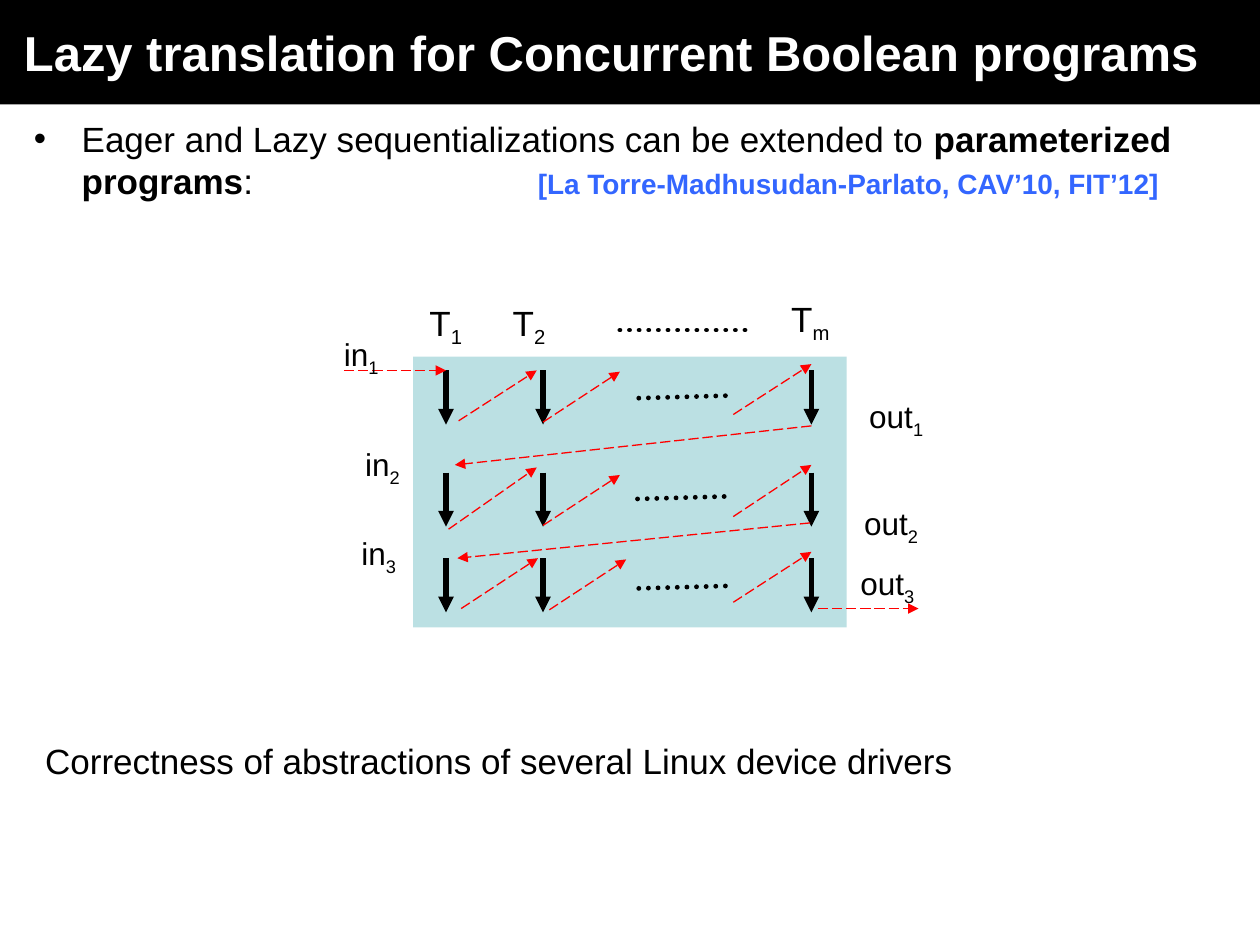
from dataclasses import dataclass

from lxml.etree import SubElement
from pptx import Presentation
from pptx.dml.color import RGBColor
from pptx.enum.dml import MSO_LINE
from pptx.enum.shapes import MSO_CONNECTOR, MSO_SHAPE
from pptx.enum.text import MSO_ANCHOR
from pptx.oxml.ns import qn
from pptx.util import Inches, Pt

BLACK, WHITE, RED, BLUE, TEAL = "000000", "FFFFFF", "FF0000", "3366FF", "BBE0E3"
Point = tuple[float, float]


@dataclass
class Label:
    text: str
    sub: str
    left: float
    top: float
    width: float
    size: int = 18


@dataclass
class Round:
    """One pass over the threads: their top edge, the dots, and the context switches."""
    top: float
    dots: Point
    switches: list[tuple[Point, Point]]


LABELS = [
    Label("T", "1", 3.31, 2.34, 0.6, 20),
    Label("T", "2", 3.97, 2.34, 0.77, 20),
    Label("T", "m", 6.18, 2.31, 0.59, 20),
    Label("in", "1", 2.63, 2.61, 0.65),
    Label("in", "2", 2.8, 3.48, 0.65),
    Label("in", "3", 2.77, 4.19, 0.65),
    Label("out", "1", 6.8, 3.1, 0.82),
    Label("out", "2", 6.76, 3.95, 0.82),
    Label("out", "3", 6.73, 4.43, 0.82),
]
THREADS = [3.54, 4.31, 6.44]
THREAD_LENGTH = 0.43
ROUNDS = [
    Round(2.94, (5.07, 3.16), [((3.64, 3.34), (4.26, 2.94)), ((4.31, 3.35), (4.92, 2.95)),
                               ((5.82, 3.29), (6.44, 2.89))]),
    Round(3.75, (5.06, 3.96), [((3.56, 4.2), (4.26, 3.71)), ((4.31, 4.17), (4.92, 3.77)),
                               ((5.82, 4.1), (6.44, 3.69))]),
    Round(4.43, (5.07, 4.67), [((3.66, 4.83), (4.27, 4.43)), ((4.36, 4.84), (4.97, 4.44)),
                               ((5.82, 4.78), (6.44, 4.38))]),
]
# Input, the returns to the next round, and output.
TRANSFERS = [
    ((2.73, 2.94), (3.54, 2.94)),
    ((6.44, 3.38), (3.61, 3.69)),
    ((6.43, 4.15), (3.63, 4.43)),
    ((6.49, 4.83), (7.29, 4.83)),
]


def rgb(value: str) -> RGBColor:
    return RGBColor.from_string(value)


def add_box(s, left: float, top: float, width: float, height: float, fill: str):
    sp = s.shapes.add_shape(MSO_SHAPE.RECTANGLE, Inches(left), Inches(top),
                            Inches(width), Inches(height))
    sp.shadow.inherit = False
    sp.fill.solid()
    sp.fill.fore_color.rgb = rgb(fill)
    sp.line.fill.background()
    return sp


def add_text_box(s, left: float, top: float, width: float, height: float):
    """Add a wrapping text box and return its first paragraph."""
    tf = s.shapes.add_textbox(Inches(left), Inches(top), Inches(width), Inches(height)).text_frame
    tf.word_wrap = True
    return tf.paragraphs[0]


def add_run(p, text: str, *, size: int = 20, color: str = BLACK, bold: bool = False,
            subscript: bool = False) -> None:
    r = p.add_run()
    r.text = text
    r.font.name = "Arial"
    r.font.size = Pt(size)
    r.font.bold = bold
    r.font.color.rgb = rgb(color)
    if subscript:
        r.font._element.set("baseline", "-25000")


def add_line(s, start: Point, end: Point, *, color: str = BLACK, width: float = 3,
             dash=None, arrow: bool = True):
    line = s.shapes.add_connector(MSO_CONNECTOR.STRAIGHT, *map(Inches, start + end))
    line.line.color.rgb = rgb(color)
    line.line.width = Pt(width)
    if dash is not None:
        line.line.dash_style = dash
    if arrow:
        SubElement(line.line._get_or_add_ln(), qn("a:tailEnd"), type="triangle")
    SubElement(line._element.spPr, qn("a:effectLst"))
    return line


def add_dots(s, start: Point, end: Point) -> None:
    dots = add_line(s, start, end, width=2.75, dash=MSO_LINE.ROUND_DOT, arrow=False)
    dots.line._get_or_add_ln().set("cap", "rnd")


def add_switch(s, start: Point, end: Point) -> None:
    add_line(s, start, end, color=RED, width=0.75, dash=MSO_LINE.LONG_DASH)


def add_title(s) -> None:
    tf = add_box(s, 0, 0, 10, 0.83, BLACK).text_frame
    tf.word_wrap = True
    tf.vertical_anchor = MSO_ANCHOR.MIDDLE
    tf.margin_left = Inches(0.19)
    p = tf.paragraphs[0]
    p.alignment = 1
    add_run(p, "Lazy translation for Concurrent Boolean programs", size=28, color=WHITE, bold=True)


def add_claim(s) -> None:
    p = add_text_box(s, 0.17, 0.88, 9.67, 2.83)
    pPr = p._p.get_or_add_pPr()
    pPr.set("marL", str(Inches(0.38)))
    pPr.set("indent", str(Inches(-0.38)))
    SubElement(SubElement(pPr, qn("a:buClr")), qn("a:srgbClr"), val=BLACK)
    SubElement(pPr, qn("a:buFont"), typeface="Arial")
    SubElement(pPr, qn("a:buChar"), char="•")
    SubElement(SubElement(pPr, qn("a:tabLst")), qn("a:tab"), pos=str(Inches(4)), algn="l")
    add_run(p, "Eager and Lazy sequentializations can be extended to ")
    add_run(p, "parameterized programs", bold=True)
    add_run(p, ":\t")
    add_run(p, "[La Torre-Madhusudan-Parlato, CAV’10, FIT’12]", size=16, color=BLUE, bold=True)


def add_diagram(s) -> None:
    add_box(s, 3.28, 2.83, 3.44, 2.15, TEAL)
    add_dots(s, (4.92, 2.62), (5.95, 2.62))
    for rnd in ROUNDS:
        for x in THREADS:
            add_line(s, (x, rnd.top), (x, rnd.top + THREAD_LENGTH))
        x, y = rnd.dots
        add_dots(s, rnd.dots, (x + 0.71, y - 0.02))
        for start, end in rnd.switches:
            add_switch(s, start, end)
    for start, end in TRANSFERS:
        add_switch(s, start, end)
    for label in LABELS:
        p = add_text_box(s, label.left, label.top, label.width, 0.44)
        add_run(p, label.text, size=label.size)
        add_run(p, label.sub, size=label.size, subscript=True)


def main() -> None:
    prs = Presentation()
    prs.slide_width, prs.slide_height = Inches(10), Inches(7.5)
    s = prs.slides.add_slide(prs.slide_layouts[6])
    add_title(s)
    add_claim(s)
    add_diagram(s)
    p = add_text_box(s, 0.26, 5.82, 9.67, 1.16)
    add_run(p, "Correctness of abstractions of several Linux device drivers")
    prs.save("out.pptx")


if __name__ == "__main__":
    main()
